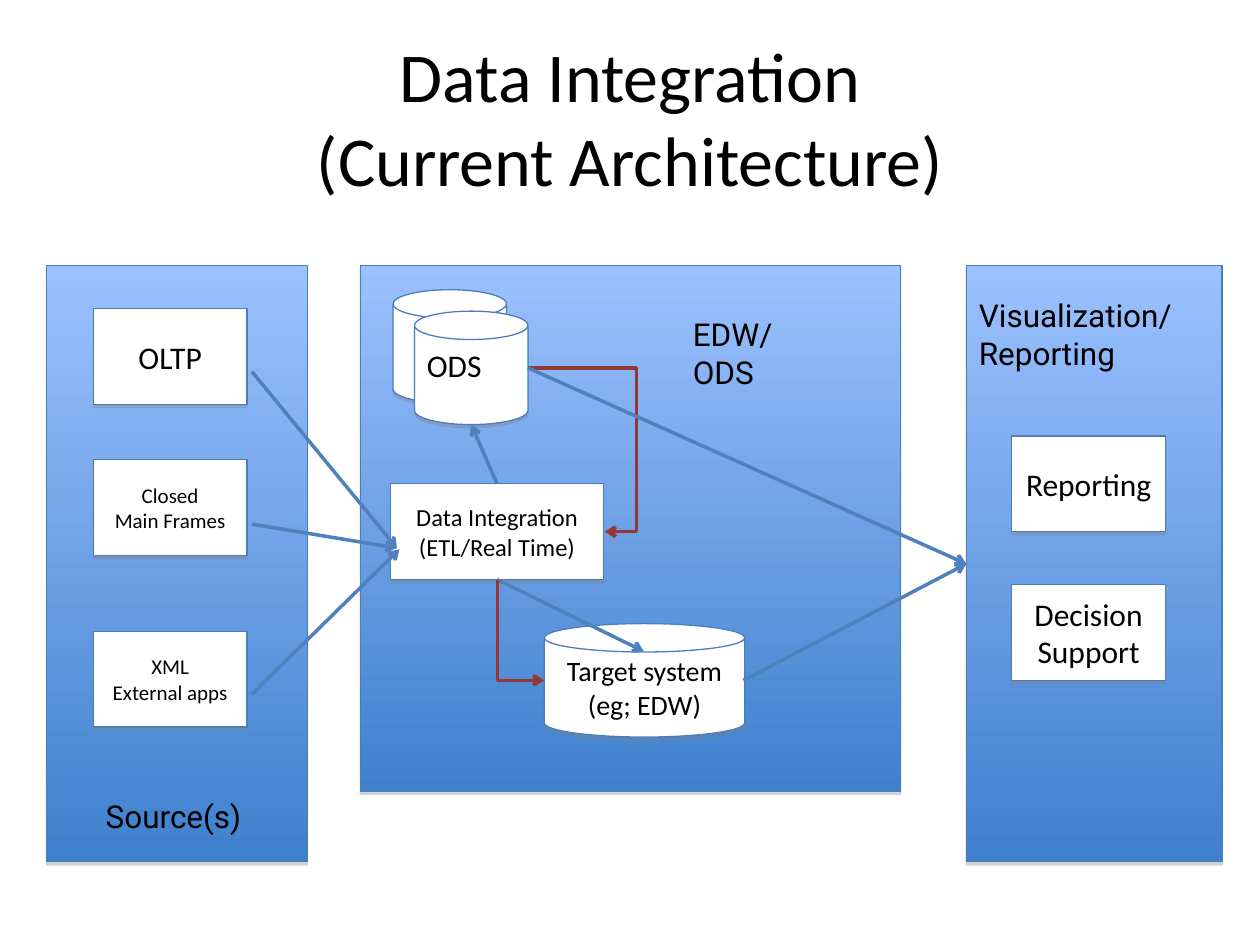
import lxml.etree
import pptx
import pptx.dml.color
import pptx.enum.shapes
import pptx.enum.text
import pptx.oxml
import pptx.oxml.ns
import pptx.util

Inches = pptx.util.Inches
Pt = pptx.util.Pt
RGBColor = pptx.dml.color.RGBColor
Shape = pptx.enum.shapes.MSO_SHAPE
Connector = pptx.enum.shapes.MSO_CONNECTOR
Align = pptx.enum.text.PP_ALIGN
Anchor = pptx.enum.text.MSO_ANCHOR
AutoSize = pptx.enum.text.MSO_AUTO_SIZE
qn = pptx.oxml.ns.qn

BLACK = RGBColor(0x00, 0x00, 0x00)
WHITE = RGBColor(0xFF, 0xFF, 0xFF)
PANEL_TOP = RGBColor(0x9B, 0xC1, 0xFF)
PANEL_BOTTOM = RGBColor(0x3F, 0x80, 0xCD)
OUTLINE = RGBColor(0x4A, 0x7E, 0xBB)
FLOW_BLUE = RGBColor(0x4F, 0x81, 0xBD)
FLOW_RED = RGBColor(0x95, 0x37, 0x35)

SHADOW = (
    '<a:outerShdw xmlns:a="http://schemas.openxmlformats.org/drawingml/2006/main" '
    'blurRad="0" dist="22860" dir="5400000" algn="ctr" rotWithShape="0">'
    '<a:srgbClr val="808080"><a:alpha val="35000"/></a:srgbClr></a:outerShdw>'
)


class Diagram:
    body_font = "Calibri"
    caption_font = "Roboto"
    box_width = 1.22
    box_height = 0.76

    def __init__(self, slide):
        self.slide = slide

    def set_text(self, shape, text, size, font, align, anchor):
        frame = shape.text_frame
        frame.word_wrap = True
        frame.vertical_anchor = anchor
        frame.text = text
        for paragraph in frame.paragraphs:
            paragraph.alignment = align
            paragraph.font.size = Pt(size)
            paragraph.font.name = font
            paragraph.font.color.rgb = BLACK

    def title(self, text, left, top, width, height):
        shape = self.slide.shapes.add_textbox(
            Inches(left), Inches(top), Inches(width), Inches(height))
        self.set_text(shape, text, 40, self.body_font, Align.CENTER, Anchor.MIDDLE)

    def caption(self, text, left, top, width, height):
        shape = self.slide.shapes.add_textbox(
            Inches(left), Inches(top), Inches(width), Inches(height))
        self.set_text(shape, text, 18, self.caption_font, Align.LEFT, Anchor.TOP)
        shape.text_frame.auto_size = AutoSize.SHAPE_TO_FIT_TEXT

    def outlined(self, kind, left, top, width, height):
        shape = self.slide.shapes.add_shape(
            kind, Inches(left), Inches(top), Inches(width), Inches(height))
        shape.shadow.inherit = False
        effects = shape._element.spPr.find(qn("a:effectLst"))
        effects.append(pptx.oxml.parse_xml(SHADOW))
        shape.fill.solid()
        shape.fill.fore_color.rgb = WHITE
        shape.line.color.rgb = OUTLINE
        shape.line.width = Pt(0.75)
        return shape

    def panel(self, left, width, height):
        shape = self.outlined(Shape.RECTANGLE, left, 2.11, width, height)
        shape.fill.gradient()
        shape.fill.gradient_angle = 270
        for stop, color in zip(shape.fill.gradient_stops, (PANEL_TOP, PANEL_BOTTOM)):
            stop.color.rgb = color
        return shape

    def box(self, text, left, top, size=18, width=box_width):
        shape = self.outlined(Shape.RECTANGLE, left, top, width, self.box_height)
        self.set_text(shape, text, size, self.body_font, Align.CENTER, Anchor.MIDDLE)
        return shape

    def store(self, left, top, width=0.9, text="", size=18,
              align=Align.CENTER, anchor=Anchor.MIDDLE):
        shape = self.outlined(Shape.CAN, left, top, width, 0.9)
        if text:
            self.set_text(shape, text, size, self.body_font, align, anchor)

    def arrow(self, start, end, color=FLOW_BLUE, kind=Connector.STRAIGHT):
        connector = self.slide.shapes.add_connector(
            kind, *(Inches(value) for value in (*start, *end)))
        connector.line.color.rgb = color
        connector.line.width = Pt(2)
        line = connector.line._get_or_add_ln()
        lxml.etree.SubElement(line, qn("a:tailEnd")).set("type", "arrow")
        lxml.etree.SubElement(connector._element.spPr, qn("a:effectLst"))
        return connector

    def loop_arrow(self, start, end, bend):
        connector = self.arrow(start, end, FLOW_RED, Connector.ELBOW)
        adjustments = connector._element.spPr.find(qn("a:prstGeom")).find(qn("a:avLst"))
        guide = lxml.etree.SubElement(adjustments, qn("a:gd"))
        guide.set("name", "adj1")
        guide.set("fmla", f"val {round(bend * 100000)}")

    def down_right_arrow(self, start, end):
        center_x, center_y = (start[0] + end[0]) / 2, (start[1] + end[1]) / 2
        half_width, half_height = (end[1] - start[1]) / 2, (end[0] - start[0]) / 2
        connector = self.arrow(
            (center_x - half_width, center_y - half_height),
            (center_x + half_width, center_y + half_height),
            FLOW_RED, Connector.ELBOW)
        properties = connector._element.spPr
        properties.find(qn("a:prstGeom")).set("prst", "bentConnector2")
        transform = properties.find(qn("a:xfrm"))
        transform.set("rot", "16200000")
        transform.set("flipH", "1")


def main():
    presentation = pptx.Presentation()
    presentation.slide_width = Inches(10)
    presentation.slide_height = Inches(7.5)
    diagram = Diagram(presentation.slides.add_slide(presentation.slide_layouts[6]))

    diagram.panel(0.37, 2.07, 4.73)
    for text, top, size in (("OLTP", 2.45, 18),
                            ("Closed\nMain Frames", 3.65, 12),
                            ("XML\nExternal apps", 5.01, 12)):
        diagram.box(text, 0.74, top, size)
    diagram.caption("Source(s)", 0.74, 6.28, 1.39, 0.4)
    diagram.title("Data Integration\v(Current Architecture)", 0.5, 0.3, 9, 1.25)

    diagram.panel(2.86, 4.29, 4.17)
    diagram.store(4.32, 4.95, 1.59, "Target system (eg; EDW)", 16)
    integration = diagram.box("Data Integration\n(ETL/Real Time)", 3.1, 3.84, 14, 1.69)
    diagram.store(3.12, 2.3)
    diagram.store(3.29, 2.47, text="ODS", align=Align.LEFT, anchor=Anchor.TOP)

    for start, end in (((2, 2.95), (3.15, 4.35)),
                       ((2, 4.16), (3.15, 4.35)),
                       ((2, 5.51), (3.17, 4.36))):
        diagram.arrow(start, end)
    diagram.arrow((3.95, 3.84), (3.74, 3.37)).begin_connect(integration, 0)
    diagram.arrow((3.95, 4.6), (5.11, 5.17)).begin_connect(integration, 2)
    diagram.loop_arrow((4.19, 2.92), (4.8, 4.22), 1.41)
    diagram.down_right_arrow((3.95, 4.6), (4.32, 5.4))
    diagram.caption("EDW/ODS", 5.4, 2.45, 1.31, 0.7)

    visualization = diagram.panel(7.67, 2.03, 4.73)
    diagram.caption("Visualization/\nReporting", 7.67, 2.3, 1.89, 0.7)
    for text, top in (("Reporting", 3.46), ("Decision Support", 4.64)):
        diagram.box(text, 8.03, top)
    for start in ((4.19, 2.92), (5.9, 5.4)):
        diagram.arrow(start, (7.67, 4.48)).end_connect(visualization, 1)

    presentation.save("out.pptx")


if __name__ == "__main__":
    main()
